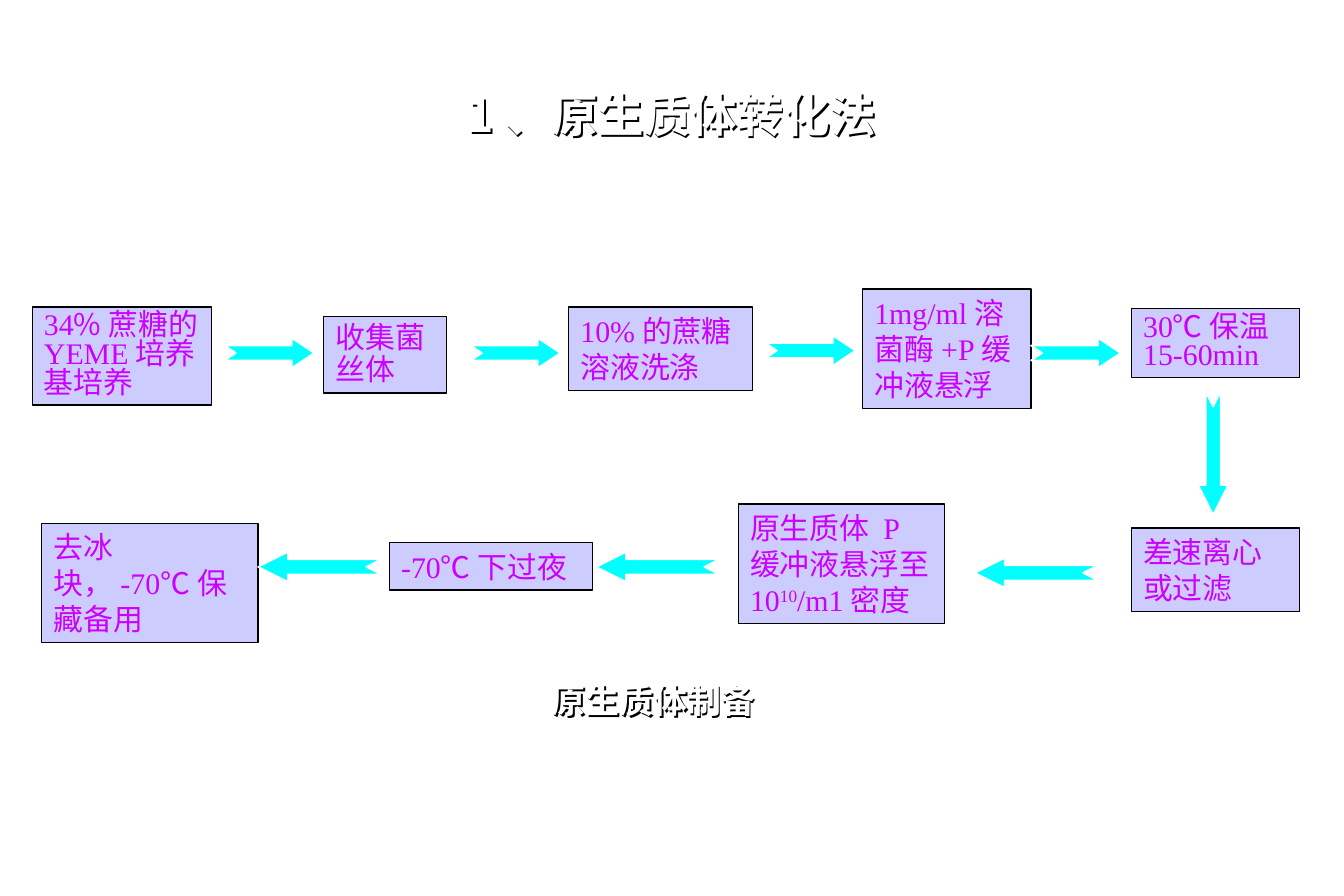
from dataclasses import dataclass

import pptx
import pptx.dml.color
import pptx.enum.shapes
import pptx.enum.text
import pptx.oxml
import pptx.oxml.ns
import pptx.util

Inches = pptx.util.Inches
Pt = pptx.util.Pt
RGB = pptx.dml.color.RGBColor
Shape = pptx.enum.shapes.MSO_SHAPE
Align = pptx.enum.text.PP_ALIGN
Anchor = pptx.enum.text.MSO_ANCHOR


@dataclass(frozen=True)
class Theme:
    latin: str = "Times New Roman"
    cjk: str = "Noto Sans CJK SC"
    white: RGB = RGB(0xFF, 0xFF, 0xFF)
    black: RGB = RGB(0x00, 0x00, 0x00)
    box: RGB = RGB(0xCC, 0xCC, 0xFF)
    step: RGB = RGB(0xCC, 0x00, 0xFF)
    arrow: RGB = RGB(0x00, 0xFF, 0xFF)
    title_size: float = 28
    caption_size: float = 20.4
    step_size: float = 18


@dataclass(frozen=True)
class Run:
    text: str
    raised: bool = False


@dataclass(frozen=True)
class Step:
    left: float
    top: float
    width: float
    height: float
    runs: tuple[Run, ...]
    spacing: float = 1.0


@dataclass(frozen=True)
class Arrow:
    left: float
    top: float
    length: float = 0.75
    head: float = 0.75
    rotation: float = 0


THEME = Theme()
ARROW_HEIGHT = 0.25
LONG = 1.03
SHADOW_OFFSET = 0.02

STEPS = [
    Step(0.27, 2.57, 1.5, 0.82,
         (Run("34"), Run("%蔗糖的"), Run("YEME"), Run("培养基培养")), 0.8),
    Step(2.71, 2.65, 1.03, 0.64, (Run("收集菌丝体"),), 0.9),
    Step(4.76, 2.57, 1.54, 0.7, (Run("10%"), Run("的蔗糖溶液洗涤"))),
    Step(7.22, 2.42, 1.41, 1,
         (Run("1mg/ml"), Run("溶菌酶"), Run("+P"), Run("缓冲液悬浮"))),
    Step(9.47, 2.58, 1.41, 0.58, (Run("30"), Run("℃保温"), Run("15-60min")), 0.8),
    Step(9.47, 4.42, 1.41, 0.7, (Run("差速离心或过滤"),)),
    Step(6.18, 4.22, 1.73, 1,
         (Run("原生质体 "), Run("P"), Run("缓冲液悬浮至"), Run("10"),
          Run("10", raised=True), Run("/m1"), Run("密度"))),
    Step(3.26, 4.54, 1.7, 0.4, (Run("-70"), Run("℃下过夜"))),
    Step(0.35, 4.38, 1.81, 1, (Run("去冰块，"), Run("-70"), Run("℃保藏备用"))),
]

ARROWS = [
    Arrow(3.94, 2.83),
    Arrow(1.88, 2.83),
    Arrow(6.41, 2.81),
    Arrow(8.63, 2.83),
    Arrow(8.16, 4.67, LONG, 1, 180),
    Arrow(4.99, 4.62, LONG, 1, 180),
    Arrow(2.16, 4.62, LONG, 1, 180),
    Arrow(9.64, 3.67, LONG, 1, 90),
]


def add_run(p, run: Run, size: float, color: RGB, bold: bool = False) -> None:
    r = p.add_run()
    r.text = run.text
    font = r.font
    font.size = Pt(size)
    font.bold = bold
    font.color.rgb = color
    wide = any(ord(c) > 0x2000 for c in run.text)
    font.name = THEME.cjk if wide else THEME.latin
    rpr = r._r.get_or_add_rPr()
    ea = pptx.oxml.parse_xml(
        f'<a:ea {pptx.oxml.ns.nsdecls("a")} typeface="{THEME.cjk}"/>')
    rpr.find(pptx.oxml.ns.qn("a:latin")).addnext(ea)
    if run.raised:
        rpr.set("baseline", "30000")


def add_shadow(sp) -> None:
    sp.fill.background()
    sp.line.fill.background()
    sp._element.spPr.append(pptx.oxml.parse_xml(
        f'<a:effectLst {pptx.oxml.ns.nsdecls("a")}>'
        f'<a:outerShdw blurRad="0" dist="{Inches(SHADOW_OFFSET)}" dir="2700000"'
        ' algn="tl" rotWithShape="0">'
        f'<a:srgbClr val="{THEME.black}"/></a:outerShdw></a:effectLst>'))


def add_heading(s, left: float, top: float, width: float, height: float,
                text: str, size: float, align: Align, anchor: Anchor) -> None:
    sp = s.shapes.add_textbox(
        Inches(left), Inches(top), Inches(width), Inches(height))
    add_shadow(sp)
    tf = sp.text_frame
    tf.word_wrap = True
    tf.vertical_anchor = anchor
    p = tf.paragraphs[0]
    p.alignment = align
    add_run(p, Run(text), size, THEME.white, bold=True)


def add_filled(s, kind: Shape, left: float, top: float, width: float,
               height: float, fill: RGB, line: RGB, weight: float):
    sp = s.shapes.add_shape(
        kind, Inches(left), Inches(top), Inches(width), Inches(height))
    sp.shadow.inherit = False
    sp.fill.solid()
    sp.fill.fore_color.rgb = fill
    sp.line.color.rgb = line
    sp.line.width = Pt(weight)
    return sp


def add_step(s, step: Step) -> None:
    sp = add_filled(s, Shape.RECTANGLE, step.left, step.top, step.width,
                    step.height, THEME.box, THEME.black, 0.75)
    tf = sp.text_frame
    tf.word_wrap = True
    tf.auto_size = pptx.enum.text.MSO_AUTO_SIZE.SHAPE_TO_FIT_TEXT
    tf.vertical_anchor = Anchor.TOP
    p = tf.paragraphs[0]
    p.alignment = Align.LEFT
    p.line_spacing = step.spacing
    for run in step.runs:
        add_run(p, run, THEME.step_size, THEME.step)


def add_arrow(s, arrow: Arrow) -> None:
    sp = add_filled(s, Shape.NOTCHED_RIGHT_ARROW, arrow.left, arrow.top,
                    arrow.length, ARROW_HEIGHT, THEME.arrow, THEME.white, 1)
    sp.adjustments[0] = 0.5
    sp.adjustments[1] = arrow.head
    sp.rotation = arrow.rotation


def main() -> None:
    prs = pptx.Presentation()
    prs.slide_width = Inches(11.25)
    prs.slide_height = Inches(7.5)
    s = prs.slides.add_slide(prs.slide_layouts[6])
    add_heading(s, 0.56, 0.33, 10.12, 1.25, "1、原生质体转化法",
                THEME.title_size, Align.CENTER, Anchor.MIDDLE)
    add_heading(s, 4.52, 5.64, 4.08, 0.46, "原生质体制备",
                THEME.caption_size, Align.LEFT, Anchor.TOP)
    for step in STEPS:
        add_step(s, step)
    for arrow in ARROWS:
        add_arrow(s, arrow)
    prs.save("out.pptx")


if __name__ == "__main__":
    main()
